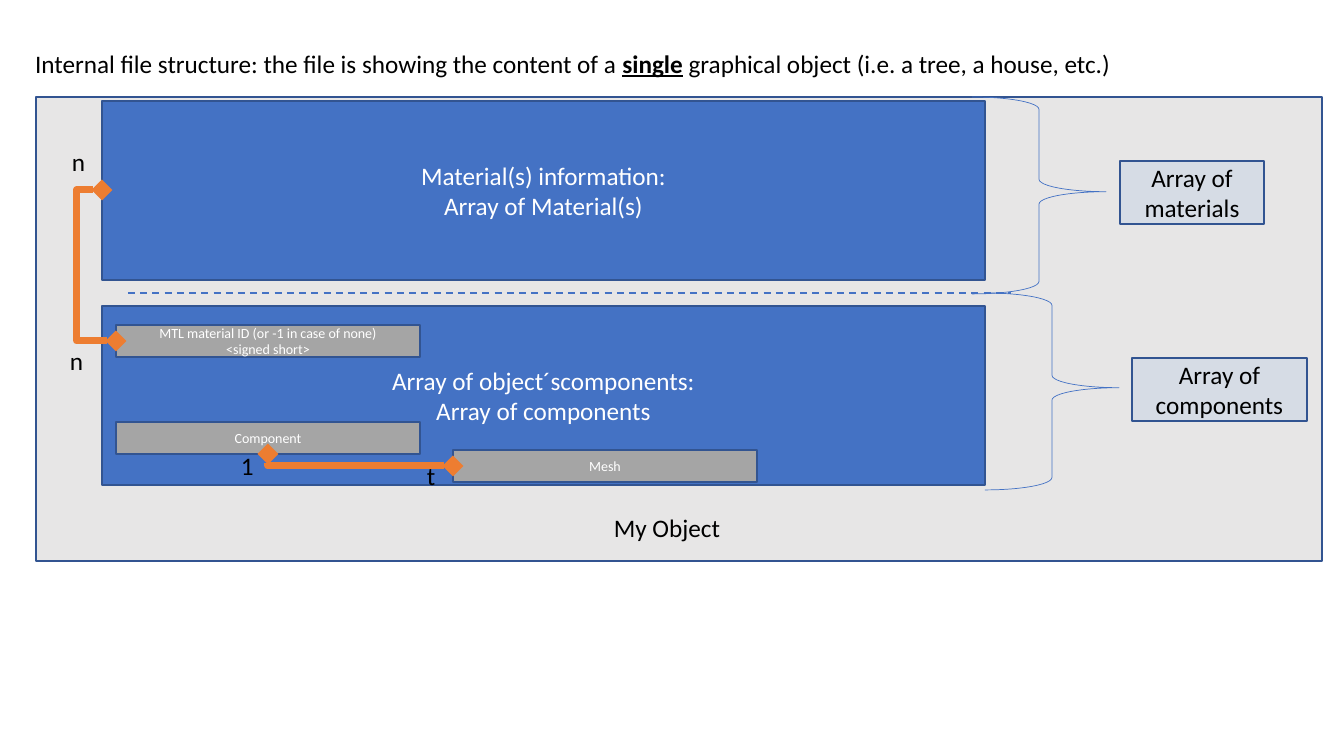
from lxml import etree
from pptx import Presentation
from pptx.dml.color import RGBColor
from pptx.enum.dml import MSO_LINE
from pptx.enum.shapes import MSO_CONNECTOR, MSO_SHAPE
from pptx.enum.text import MSO_ANCHOR, MSO_AUTO_SIZE, PP_ALIGN
from pptx.oxml.ns import qn
from pptx.util import Emu, Pt

RECTANGLE = MSO_SHAPE.RECTANGLE
RIGHT_BRACE = MSO_SHAPE.RIGHT_BRACE
STRAIGHT = MSO_CONNECTOR.STRAIGHT
ELBOW = MSO_CONNECTOR.ELBOW
DASH = MSO_LINE.DASH
TOP = MSO_ANCHOR.TOP
MIDDLE = MSO_ANCHOR.MIDDLE
LEFT = PP_ALIGN.LEFT
CENTER = PP_ALIGN.CENTER
FIT_SHAPE = MSO_AUTO_SIZE.SHAPE_TO_FIT_TEXT

BLACK = RGBColor(0x00, 0x00, 0x00)
WHITE = RGBColor(0xFF, 0xFF, 0xFF)
BLUE = RGBColor(0x44, 0x72, 0xC4)
NAVY = RGBColor(0x32, 0x54, 0x91)
PALE_BLUE = RGBColor(0xD6, 0xDC, 0xE5)
PALE_GRAY = RGBColor(0xE7, 0xE6, 0xE6)
GRAY = RGBColor(0xA5, 0xA5, 0xA5)
ORANGE = RGBColor(0xED, 0x7D, 0x31)

FONT = "Calibri"
TITLE_ONLY = 5
PX_PER_INCH = 100.8


def px(length):
    return Emu(round(length * 914400 / PX_PER_INCH))


def add_span(para, text, size, color, strong=False):
    span = para.add_run()
    span.text = text
    span.font.name = FONT
    span.font.size = Pt(size)
    span.font.color.rgb = color
    span.font.bold = strong
    span.font.underline = strong


def fill_title(page):
    title = page.shapes.title
    title.left, title.top, title.width, title.height = map(px, (25, 43, 1307, 40))
    frame = title.text_frame
    frame.word_wrap = True
    frame.auto_size = FIT_SHAPE
    frame.vertical_anchor = TOP
    para = frame.paragraphs[0]
    para.alignment = LEFT
    add_span(para, "Internal file structure: the file is showing the content of a ", 18, BLACK)
    add_span(para, "single", 18, BLACK, strong=True)
    add_span(para, " graphical object (i.e. a tree, a house, etc.)", 18, BLACK)


def add_box(page, bounds, fill, paragraphs=(), size=18, color=WHITE):
    box = page.shapes.add_shape(RECTANGLE, *map(px, bounds))
    box.shadow.inherit = False
    box.fill.solid()
    box.fill.fore_color.rgb = fill
    box.line.color.rgb = NAVY
    box.line.width = Pt(1)
    frame = box.text_frame
    frame.word_wrap = True
    frame.vertical_anchor = MIDDLE
    for index, lines in enumerate(paragraphs):
        para = frame.add_paragraph() if index else frame.paragraphs[0]
        para.alignment = CENTER
        for number, line in enumerate(lines):
            if number:
                para.add_line_break()
            add_span(para, line, size, color)


def add_caption(page, left, top, text, width=37):
    box = page.shapes.add_textbox(*map(px, (left, top, width, 40)))
    frame = box.text_frame
    frame.word_wrap = True
    frame.auto_size = FIT_SHAPE
    add_span(frame.paragraphs[0], text, 18, BLACK)


def add_brace(page, left, top):
    brace = page.shapes.add_shape(RIGHT_BRACE, *map(px, (left, top, 134, 197)))
    brace.shadow.inherit = False
    brace.fill.background()
    brace.line.color.rgb = BLUE
    brace.line.width = Pt(0.5)
    brace.adjustments[0] = 0.093
    brace.adjustments[1] = 0.481


def add_line(page, kind, start, end, color, width):
    line = page.shapes.add_connector(kind, *map(px, start + end))
    line.line.color.rgb = color
    line.line.width = Pt(width)
    etree.SubElement(line._element.spPr, qn("a:effectLst"))
    return line


def add_relation(page, start, end, preset, bend=None):
    relation = add_line(page, ELBOW, start, end, ORANGE, 5)
    outline = relation.line._get_or_add_ln()
    for tag in ("a:headEnd", "a:tailEnd"):
        etree.SubElement(outline, qn(tag), type="diamond")
    geometry = relation._element.spPr.find(qn("a:prstGeom"))
    geometry.set("prst", preset)
    if bend is not None:
        guides = geometry.find(qn("a:avLst"))
        etree.SubElement(guides, qn("a:gd"), name="adj1", fmla=f"val {round(bend * 100000)}")


def main():
    deck = Presentation()
    deck.slide_width, deck.slide_height = px(1344), px(756)
    page = deck.slides.add_slide(deck.slide_layouts[TITLE_ONLY])
    fill_title(page)

    add_box(page, (36, 97, 1286, 464), PALE_GRAY)
    add_box(page, (102, 101, 883, 179), BLUE,
            [["Material(s) information:", "Array of Material(s)"]])
    add_box(page, (102, 306, 883, 179), BLUE,
            [["Array of object´scomponents:"], ["Array of components"]])
    divider = add_line(page, STRAIGHT, (128, 293), (1011, 293), BLUE, 1.25)
    divider.line.dash_style = DASH

    add_brace(page, 972, 97)
    add_box(page, (1120, 161, 144, 63), PALE_BLUE, [["Array of materials"]], color=BLACK)
    add_brace(page, 985, 293)
    add_box(page, (1132, 358, 175, 63), PALE_BLUE, [["Array of components"]], color=BLACK)

    add_box(page, (116, 325, 304, 32), GRAY,
            [["MTL material ID (or -1 in case of none)", "<signed short>"]], size=10)
    add_relation(page, (116, 341), (102, 190), "bentConnector3", bend=2.81)
    add_caption(page, 62, 141, "n")
    add_caption(page, 60, 340, "n")

    add_box(page, (116, 422, 304, 32), GRAY, [["Component"]], size=10)
    add_box(page, (453, 450, 304, 32), GRAY, [["Mesh"]], size=10)
    add_relation(page, (453, 466), (268, 454), "bentConnector2")
    add_caption(page, 231, 445, "1")
    add_caption(page, 417, 455, "t")
    add_caption(page, 604, 507, "My Object", width=137)

    deck.save("out.pptx")


if __name__ == "__main__":
    main()
